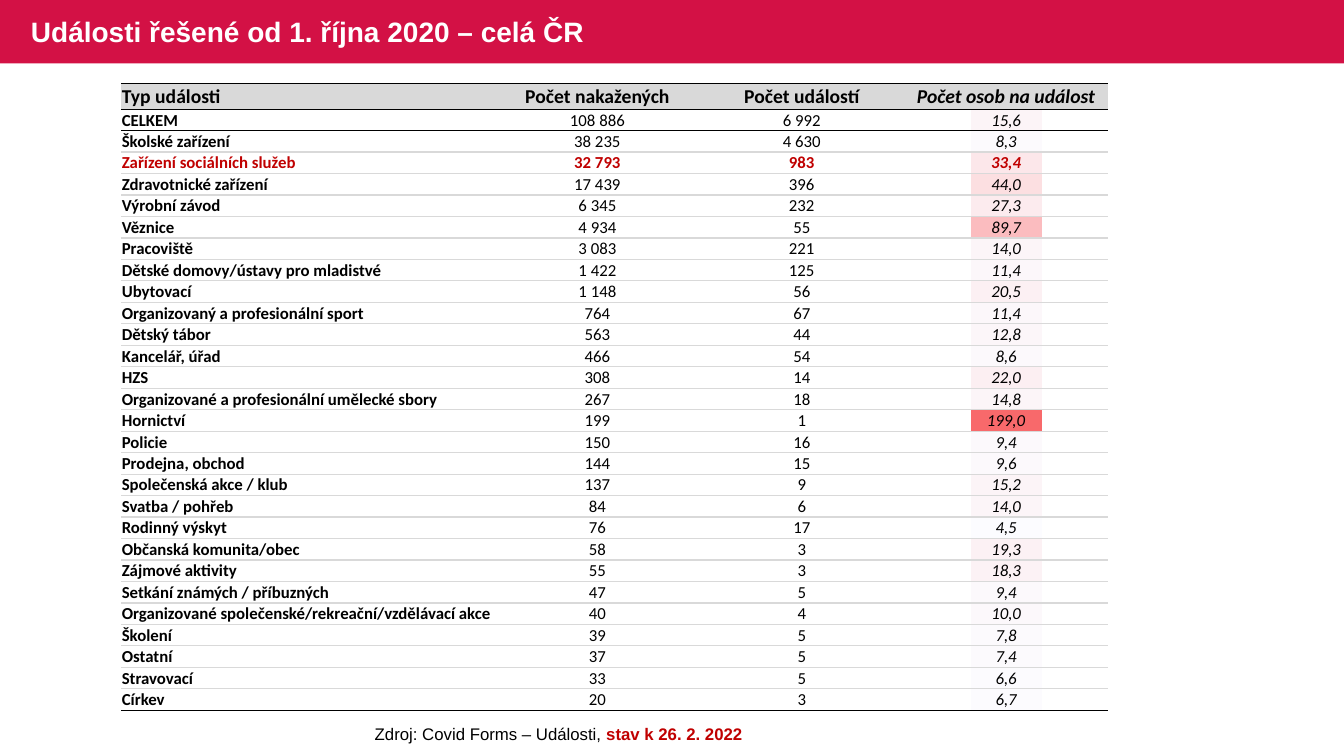
from math import ceil
from pptx import Presentation
from pptx.dml.color import RGBColor
from pptx.enum.shapes import MSO_SHAPE
from pptx.enum.text import MSO_ANCHOR, PP_ALIGN
from pptx.oxml import parse_xml
from pptx.oxml.ns import nsdecls
from pptx.util import Cm, Pt

BLACK, WHITE, GRAY, RED, CRIMSON = "000000", "FFFFFF", "D9D9D9", "C00000", "D31145"
HEAT_LOW, HEAT_HIGH = (252, 252, 255), (248, 105, 107)
HEADER_H, BODY_H = 0.64, 15.17
TABLE_X, TABLE_Y = 3.05, 2.11
HIGHLIGHTED = "Zařízení sociálních služeb"

HEADER = ["Typ události", "Počet nakažených", "Počet událostí", "Počet osob na událost"]
EVENTS = [
    ("CELKEM", "108 886", "6 992", "15,6"),
    ("Školské zařízení", "38 235", "4 630", "8,3"),
    (HIGHLIGHTED, "32 793", "983", "33,4"),
    ("Zdravotnické zařízení", "17 439", "396", "44,0"),
    ("Výrobní závod", "6 345", "232", "27,3"),
    ("Věznice", "4 934", "55", "89,7"),
    ("Pracoviště", "3 083", "221", "14,0"),
    ("Dětské domovy/ústavy pro mladistvé", "1 422", "125", "11,4"),
    ("Ubytovací", "1 148", "56", "20,5"),
    ("Organizovaný a profesionální sport", "764", "67", "11,4"),
    ("Dětský tábor", "563", "44", "12,8"),
    ("Kancelář, úřad", "466", "54", "8,6"),
    ("HZS", "308", "14", "22,0"),
    ("Organizované a profesionální umělecké sbory", "267", "18", "14,8"),
    ("Hornictví", "199", "1", "199,0"),
    ("Policie", "150", "16", "9,4"),
    ("Prodejna, obchod", "144", "15", "9,6"),
    ("Společenská akce / klub", "137", "9", "15,2"),
    ("Svatba / pohřeb", "84", "6", "14,0"),
    ("Rodinný výskyt", "76", "17", "4,5"),
    ("Občanská komunita/obec", "58", "3", "19,3"),
    ("Zájmové aktivity", "55", "3", "18,3"),
    ("Setkání známých / příbuzných", "47", "5", "9,4"),
    ("Organizované společenské/rekreační/vzdělávací akce", "40", "4", "10,0"),
    ("Školení", "39", "5", "7,8"),
    ("Ostatní", "37", "5", "7,4"),
    ("Stravovací", "33", "5", "6,6"),
    ("Církev", "20", "3", "6,7"),
]


def rgb(color):
    return RGBColor.from_string(color)


def heat_colors(values):
    """Map each value to a hex colour between HEAT_LOW and HEAT_HIGH."""
    low, high = min(values), max(values)
    for value in values:
        t = (value - low) / (high - low)
        yield "".join(f"{ceil(a + (b - a) * t):02X}" for a, b in zip(HEAT_LOW, HEAT_HIGH))


class SlideBuilder:
    def __init__(self, slide):
        self.s = slide
        self.heading_font, self.table_font = "Arial", "Calibri"

    def style(self, font, name, size, color, bold=False, italic=False):
        font.name, font.size, font.bold, font.italic = name, Pt(size), bold, italic
        font.color.rgb = rgb(color)

    def bar(self, x, y, w, h, color):
        sp = self.s.shapes.add_shape(MSO_SHAPE.RECTANGLE, Cm(x), Cm(y), Cm(w), Cm(h))
        sp.shadow.inherit = False
        sp.fill.solid()
        sp.fill.fore_color.rgb = rgb(color)
        sp.line.fill.background()

    def text(self, x, y, w, h, runs, size, align=PP_ALIGN.LEFT, anchor=MSO_ANCHOR.TOP):
        """Add one paragraph made of (text, colour, bold) runs."""
        tf = self.s.shapes.add_textbox(Cm(x), Cm(y), Cm(w), Cm(h)).text_frame
        tf.word_wrap, tf.vertical_anchor = True, anchor
        p = tf.paragraphs[0]
        p.alignment = align
        for text, color, bold in runs:
            r = p.add_run()
            r.text = text
            self.style(r.font, self.heading_font, size, color, bold)
        return p

    def table(self, x, y, widths, heights):
        table = self.s.shapes.add_table(len(heights), len(widths), Cm(x), Cm(y),
                                        Cm(sum(widths)), Cm(sum(heights))).table
        table.first_row = table.horz_banding = False
        for column, w in zip(table.columns, widths):
            column.width = Cm(w)
        for row, h in zip(table.rows, heights):
            row.height = Cm(h)
        return table

    def cell(self, cell, text="", size=1, color=BLACK, bold=False, italic=False,
             align=PP_ALIGN.LEFT, fill=None, top=None, bottom=None):
        cell.margin_left = cell.margin_right = cell.margin_top = Cm(0.02)
        cell.margin_bottom = 0
        cell.vertical_anchor = MSO_ANCHOR.MIDDLE
        tc_pr = cell._tc.get_or_add_tcPr()
        for side, line in zip("LRTB", (None, None, top, bottom)):
            paint = (f'<a:solidFill><a:srgbClr val="{line}"/></a:solidFill>'
                     if line else "<a:noFill/>")
            tc_pr.append(parse_xml(
                f'<a:ln{side} {nsdecls("a")} w="{Pt(1)}">{paint}</a:ln{side}>'))
        if fill:
            cell.fill.solid()
            cell.fill.fore_color.rgb = rgb(fill)
        else:
            cell.fill.background()
        p = cell.text_frame.paragraphs[0]
        if text:
            p.text = text
        p.alignment = align
        self.style(p.font, self.table_font, size, color, bold, italic)

    def heat_strip(self, x, y, w, values):
        table = self.table(x, y, [w], [BODY_H / len(values)] * len(values))
        for i, color in enumerate(heat_colors(values)):
            self.cell(table.cell(i, 0), fill=color)

    def event_table(self, x, y, widths):
        rows = [HEADER, *EVENTS]
        table = self.table(x, y, widths, [HEADER_H] + [BODY_H / len(EVENTS)] * len(EVENTS))
        black_rules = {0, 1, 2, len(rows)}
        rules = [BLACK if i in black_rules else GRAY for i in range(len(rows) + 1)]
        for i, row in enumerate(rows):
            header, highlighted = i == 0, row[0] == HIGHLIGHTED
            for j, text in enumerate(row):
                self.cell(table.cell(i, j), text, 14 if header else 12,
                          RED if highlighted else BLACK,
                          bold=header or highlighted or j == 0, italic=j == 3,
                          align=PP_ALIGN.CENTER if j else PP_ALIGN.LEFT,
                          fill=GRAY if header else None,
                          top=rules[i], bottom=rules[i + 1])


def main():
    prs = Presentation()
    prs.slide_width, prs.slide_height = Cm(33.87), Cm(19.05)
    b = SlideBuilder(prs.slides.add_slide(prs.slide_layouts[6]))
    b.bar(0, 0, 33.87, 1.6, CRIMSON)
    b.heat_strip(24.46, TABLE_Y + HEADER_H, 1.79,
                 [float(row[3].replace(",", ".")) for row in EVENTS])
    title = b.text(0.53, 0.05, 20.65, 1.6,
                   [("Události řešené od 1. října 2020 – celá ČR", WHITE, True)],
                   20, anchor=MSO_ANCHOR.MIDDLE)
    title.line_spacing = 0.9
    b.text(5.23, 18.11, 17.7, 0.77,
           [("Zdroj: Covid Forms – Události, ", BLACK, False),
            ("stav k 26. 2. 2022", RED, True)], 12, PP_ALIGN.CENTER)
    b.event_table(TABLE_X, TABLE_Y, [9.43, 5.15, 5.15, 5.15])
    prs.save("out.pptx")


if __name__ == "__main__":
    main()
